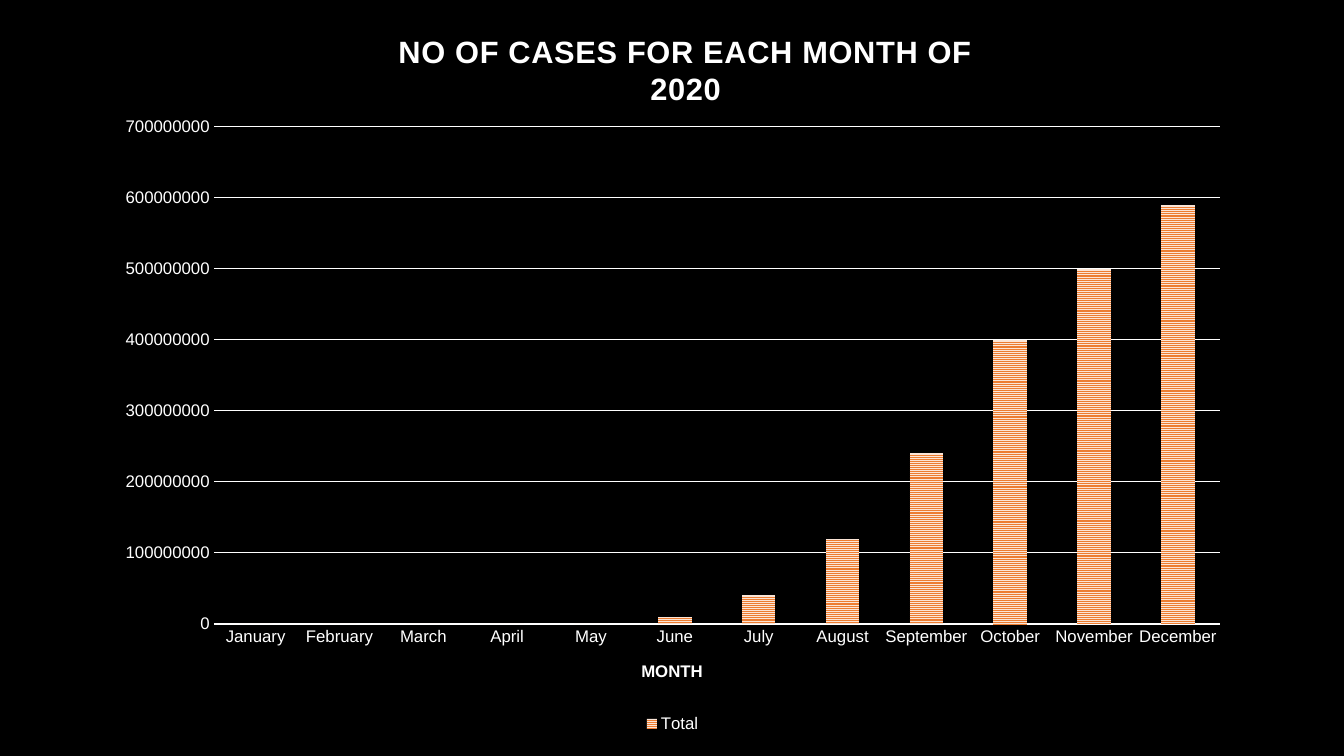
from lxml import etree
from pptx import Presentation
from pptx import util as u
from pptx.chart.data import CategoryChartData
from pptx.dml.color import RGBColor
from pptx.enum import chart as ch, dml, text
from pptx.oxml.ns import qn

# Content
HEADING = "NO OF CASES FOR EACH MONTH OF 2020"
MONTH_LABEL = "MONTH"
SERIES_NAME = "Total"
CASES = {
    "January": 0, "February": 0, "March": 0, "April": 0,
    "May": 0, "June": 10_000_000, "July": 40_000_000,
    "August": 120_000_000, "September": 240_000_000,
    "October": 400_000_000, "November": 500_000_000,
    "December": 590_000_000,
}

BLACK = RGBColor(0x00, 0x00, 0x00)
WHITE = RGBColor(0xFF, 0xFF, 0xFF)
ORANGE = RGBColor(0xED, 0x7D, 0x31)
PEACH = RGBColor(0xFB, 0xE5, 0xD6)

CHART_W, CHART_H = 11.3, 6.26  # inches


def style_font(font, size, bold=False):
    font.name = "Arial"
    font.size = u.Pt(size)
    font.bold = bold
    font.color.rgb = WHITE


def place(parent, index, x, y, size=None):
    """Fix a chart part, in inches from the chart's top left corner."""
    for old in parent.findall(qn("c:layout")):
        parent.remove(old)
    settings = {"layoutTarget": "inner"} if size else {}
    settings.update(xMode="edge", yMode="edge", x=x / CHART_W, y=y / CHART_H)
    if size:
        settings.update(w=size[0] / CHART_W, h=size[1] / CHART_H)
    layout = etree.Element(qn("c:layout"))
    manual = etree.SubElement(layout, qn("c:manualLayout"))
    for tag, value in settings.items():
        etree.SubElement(manual, qn(f"c:{tag}")).set("val", str(value))
    parent.insert(index, layout)


def main():
    prs = Presentation()
    prs.slide_width, prs.slide_height = u.Inches(13.33), u.Inches(7.5)
    slide = prs.slides.add_slide(prs.slide_layouts[5])
    slide.background.fill.solid()
    slide.background.fill.fore_color.rgb = BLACK

    # Heading
    heading = slide.shapes.title
    heading.left, heading.top = u.Inches(3.47), u.Inches(0.27)
    heading.width, heading.height = u.Inches(6.66), u.Inches(0.85)
    frame = heading.text_frame
    frame.text = HEADING
    frame.word_wrap = True
    frame.auto_size = text.MSO_AUTO_SIZE.NONE
    frame.vertical_anchor = text.MSO_ANCHOR.TOP
    line = frame.paragraphs[0]
    line.alignment = text.PP_ALIGN.CENTER
    style_font(line.runs[0].font, 22, bold=True)
    line.runs[0].font._element.set("spc", "50")

    # Chart
    data = CategoryChartData(number_format="0")
    data.categories = list(CASES)
    data.add_series(SERIES_NAME, list(CASES.values()))
    chart = slide.shapes.add_chart(
        ch.XL_CHART_TYPE.COLUMN_STACKED, u.Inches(1.02), u.Inches(1.05),
        u.Inches(CHART_W), u.Inches(CHART_H), data).chart
    chart.has_title = False
    style_font(chart.font, 12)

    # Striped columns
    plot = chart.plots[0]
    place(plot._element.getparent(), 0, 1.1, 0.21, size=(9.98, 4.93))
    plot.gap_width, plot.overlap = 150, 100
    plot.vary_by_categories = False
    stripes = plot.series[0].format.fill
    stripes.patterned()
    stripes.pattern = dml.MSO_PATTERN.NARROW_HORIZONTAL
    stripes.fore_color.rgb = ORANGE
    stripes.back_color.rgb = PEACH

    # Axes
    months, counts = chart.category_axis, chart.value_axis
    for axis in (months, counts):
        axis.major_tick_mark = axis.minor_tick_mark = ch.XL_TICK_MARK.NONE
        style_font(axis.tick_labels.font, 12)
    months.format.line.color.rgb = WHITE
    months.format.line.width = u.Pt(1.5)
    months.axis_title.text_frame.text = MONTH_LABEL
    style_font(months.axis_title.text_frame.paragraphs[0].runs[0].font,
               12, bold=True)
    place(months.axis_title._element, 1, 5.31, 5.48)
    counts.minimum_scale, counts.maximum_scale = 0, 700_000_000
    counts.major_unit = 100_000_000
    counts.format.line.fill.background()
    grid = counts.major_gridlines.format.line
    grid.color.rgb = WHITE
    grid.width = u.Pt(0.75)

    # Legend
    chart.has_legend = True
    chart.legend.position = ch.XL_LEGEND_POSITION.BOTTOM
    chart.legend.include_in_layout = False
    style_font(chart.legend.font, 12)

    prs.save("out.pptx")


if __name__ == "__main__":
    main()
